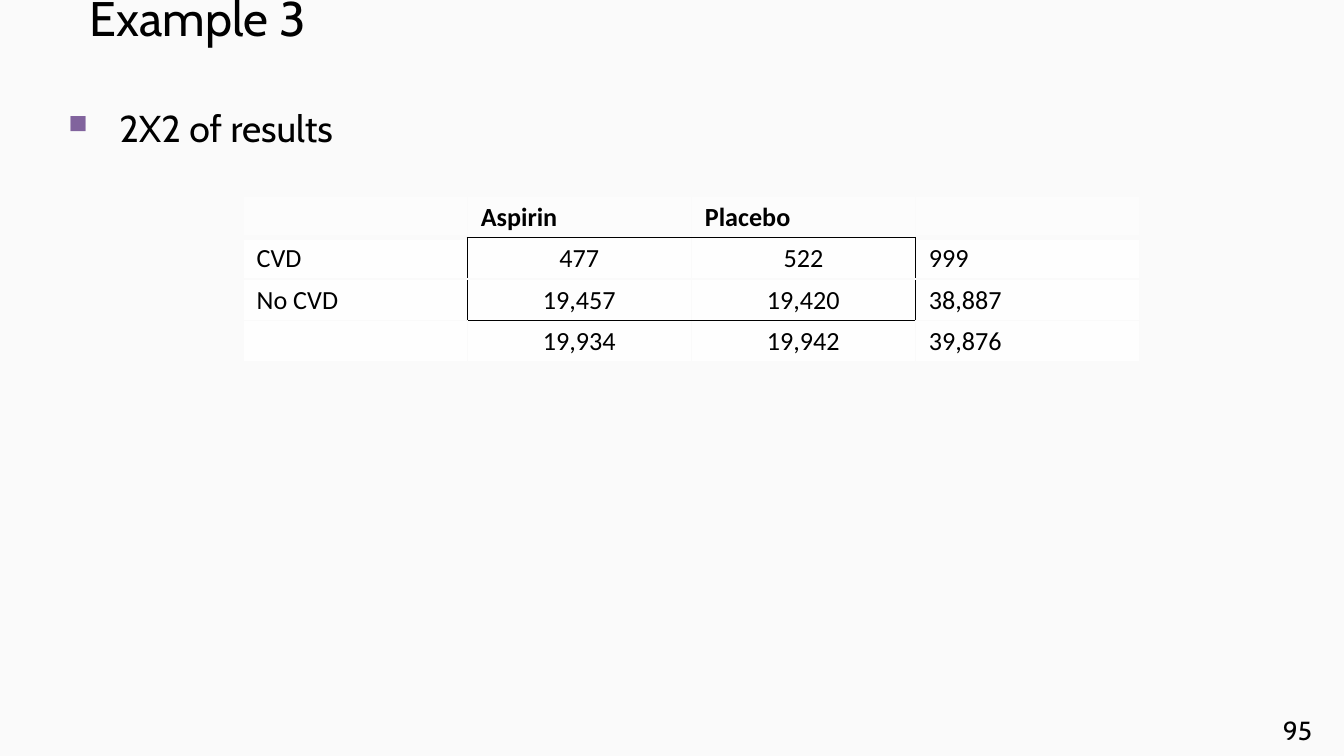
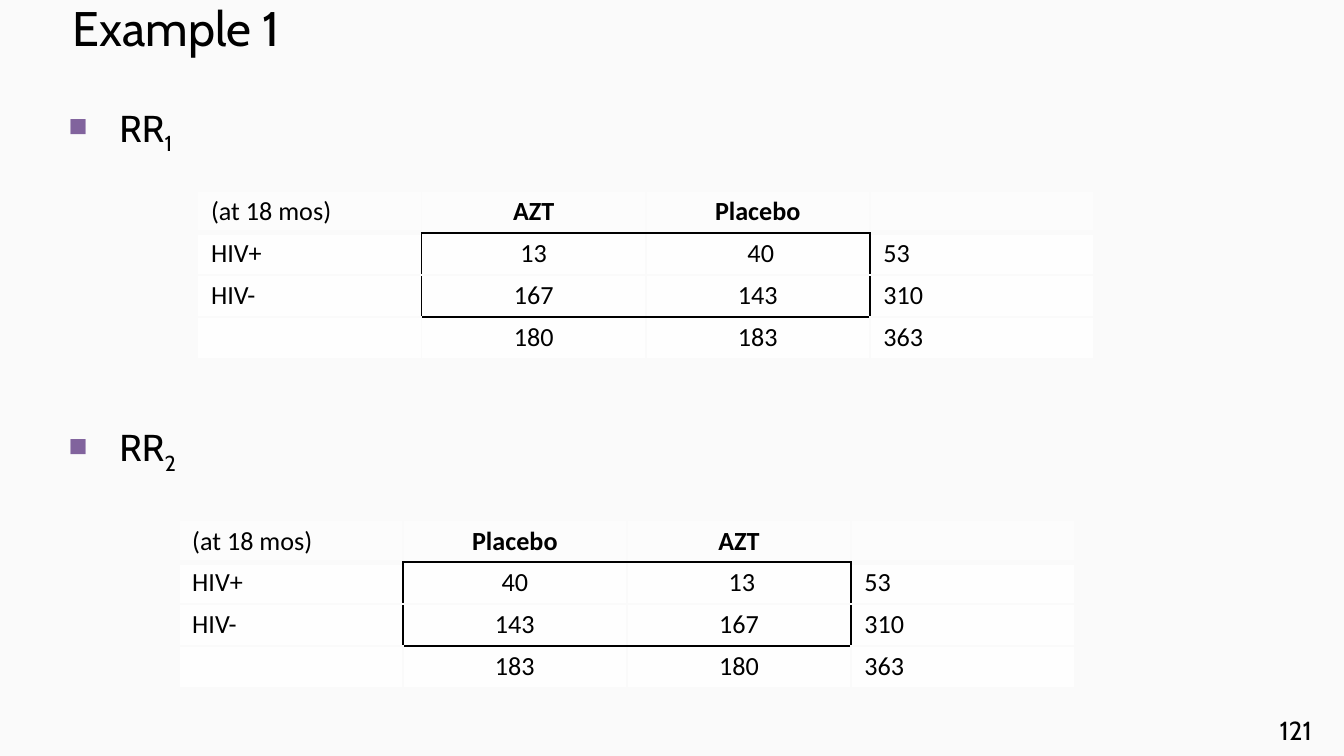
from lxml import etree
from pptx import Presentation
from pptx.dml.color import RGBColor
from pptx.enum.text import MSO_ANCHOR, PP_ALIGN
from pptx.oxml.ns import qn
from pptx.util import Inches, Pt

LEFT, CENTER, RIGHT = PP_ALIGN.LEFT, PP_ALIGN.CENTER, PP_ALIGN.RIGHT
TOP, BOTTOM = MSO_ANCHOR.TOP, MSO_ANCHOR.BOTTOM
PAPER, INK, ACCENT = "FAFAFA", "000000", "81639D"
HEADER_FILL, BODY_FILL = "FCFCFC", "FEFEFE"
SIDES = {"a:lnL": (0, -1), "a:lnR": (0, 1), "a:lnT": (-1, 0), "a:lnB": (1, 0)}
BOX = [(1, 1), (1, 2), (2, 1), (2, 2)]


def rgb(value):
    return RGBColor.from_string(value)


def write(p, text, size=20, font="Cabin", bold=False, align=LEFT, sub=False):
    p.alignment = align
    if not text:
        etree.SubElement(p._p, qn("a:endParaRPr"), sz=str(size * 100))
        return
    r = p.add_run()
    r.text = text
    r.font.size = Pt(size)
    r.font.name = font
    r.font.bold = bold
    r.font.color.rgb = rgb(INK)
    if sub:
        r.font._element.set("baseline", "-25000")


slides = [
    {
        "title": "Example 3", "title_at": (0.57, 0.03), "number": "95",
        "bullets": [("2X2 of results", "")],
        "tables": [(1.81, 1.46, 1.23, LEFT, [
            ["", "Aspirin", "Placebo", ""],
            ["CVD", "477", "522", "999"],
            ["No CVD", "19,457", "19,420", "38,887"],
            ["", "19,934", "19,942", "39,876"],
        ])],
    },
    {
        "title": "Example 1", "title_at": (0.44, 0.11), "number": "121",
        "bullets": [("RR", "1"), ("RR", "2")],
        "tables": [
            (1.47, 1.42, 1.25, CENTER, [
                ["(at 18 mos)", "AZT", "Placebo", ""],
                ["HIV+", "13", " 40", "53"],
                ["HIV-", "167", "143", "310"],
                ["", "180", "183", "363"],
            ]),
            (1.33, 3.87, 1.25, CENTER, [
                ["(at 18 mos)", "Placebo", "AZT", ""],
                ["HIV+", "40", " 13", "53"],
                ["HIV-", "143", "167", "310"],
                ["", "183", "180", "363"],
            ]),
        ],
    },
]

prs = Presentation()
prs.slide_width = Inches(10)
prs.slide_height = prs.slide_width * 9 // 16

for data in slides:
    s = prs.slides.add_slide(prs.slide_layouts[6])
    s.background.fill.solid()
    s.background.fill.fore_color.rgb = rgb(PAPER)

    frames = []
    for box, anchor in [
        ((*data["title_at"], 9.18, 0.36), BOTTOM),
        ((0.41, 0.73, 9.18, 4.53), TOP),
        ((9.21, 5.27, 0.65, 0.34), TOP),
    ]:
        tf = s.shapes.add_textbox(*map(Inches, box)).text_frame
        tf.word_wrap = True
        tf.vertical_anchor = anchor
        frames.append(tf)
    title, body, number = frames
    write(title.paragraphs[0], data["title"], size=26)
    write(number.paragraphs[0], data["number"], size=14, align=RIGHT)

    for i, (text, index) in enumerate(data["bullets"]):
        p = body.add_paragraph() if i else body.paragraphs[0]
        p.space_before = Pt(144 * i)
        write(p, text)
        if index:
            write(p, index, sub=True)
        pPr = p._p.get_or_add_pPr()
        pPr.set("marL", str(Inches(0.38)))
        pPr.set("indent", str(-Inches(0.38)))
        color = etree.SubElement(pPr, qn("a:buClr"))
        etree.SubElement(color, qn("a:srgbClr"), val=ACCENT)
        etree.SubElement(pPr, qn("a:buSzPct"), val="70000")
        etree.SubElement(pPr, qn("a:buChar"), char="■")

    for left, top, height, header_align, rows in data["tables"]:
        table = s.shapes.add_table(4, 4, Inches(left), Inches(top),
                                   Inches(6.67), Inches(height)).table
        table.horz_banding = False
        for row, texts in enumerate(rows):
            for col, text in enumerate(texts):
                cell = table.cell(row, col)
                cell.margin_left = cell.margin_right = Inches(0.1)
                cell.margin_top = cell.margin_bottom = Pt(2.7)
                inner = col in (1, 2)
                align = (CENTER if row else header_align) if inner else LEFT
                write(cell.text_frame.paragraphs[0], text, size=14, font="Calibri",
                      bold=row == 0 and inner, align=align)
                tcPr = cell._tc.get_or_add_tcPr()
                for side, (down, across) in SIDES.items():
                    edge = ((row, col) in BOX) != ((row + down, col + across) in BOX)
                    thick = row == 0 and down == 1 and not edge
                    ln = etree.SubElement(tcPr, qn(side), w=str(Pt(3 if thick else 1)))
                    fill = etree.SubElement(ln, qn("a:solidFill"))
                    etree.SubElement(fill, qn("a:srgbClr"), val=INK if edge else PAPER)
                cell.fill.solid()
                cell.fill.fore_color.rgb = rgb(BODY_FILL if row else HEADER_FILL)

prs.save("out.pptx")
